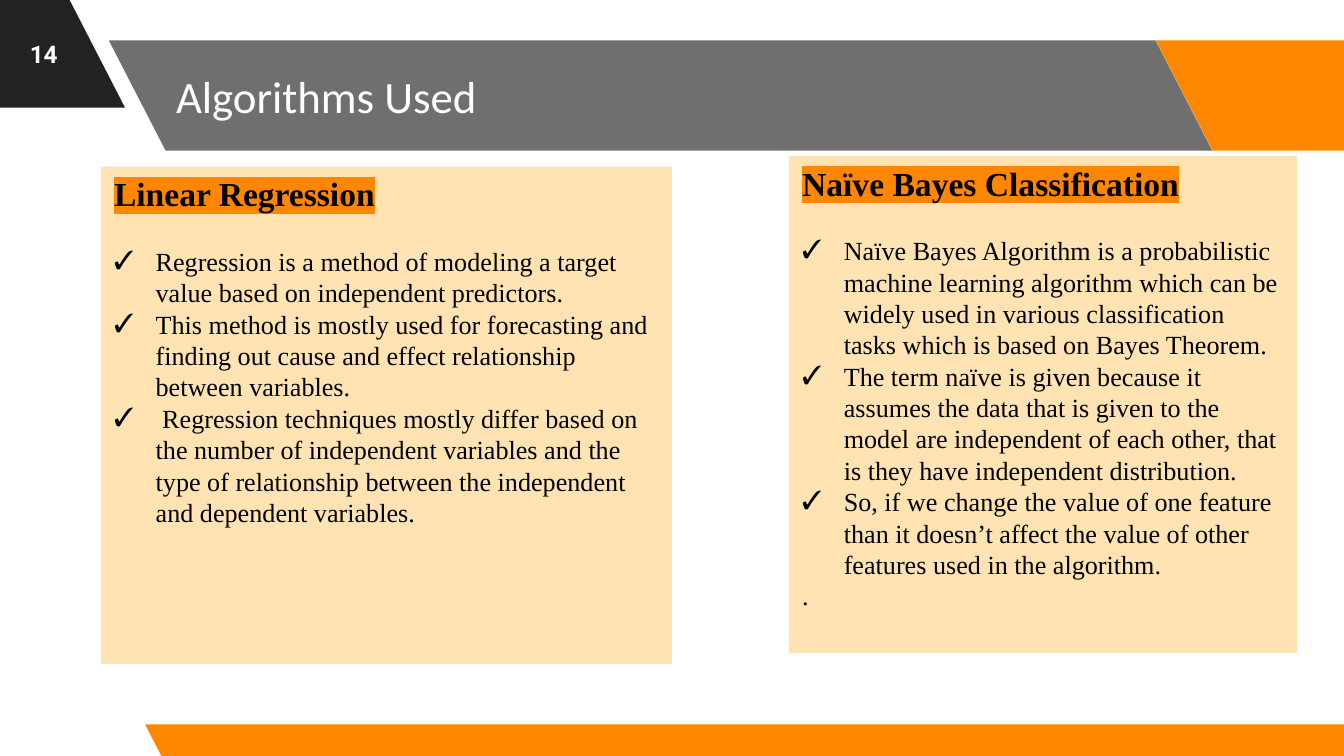
from dataclasses import dataclass

from lxml import etree
from pptx import Presentation
from pptx.dml.color import RGBColor
from pptx.enum.shapes import MSO_SHAPE
from pptx.enum.text import MSO_ANCHOR, PP_ALIGN
from pptx.oxml.ns import qn
from pptx.util import Inches, Pt

PARALLELOGRAM = MSO_SHAPE.PARALLELOGRAM
RECTANGLE = MSO_SHAPE.RECTANGLE
TOP, MIDDLE = MSO_ANCHOR.TOP, MSO_ANCHOR.MIDDLE
LEFT, CENTER = PP_ALIGN.LEFT, PP_ALIGN.CENTER
TITLE_ONLY = 5


@dataclass(frozen=True)
class Theme:
    """Colours, fonts and type sizes of the slide."""

    dark: str = "222222"
    orange: str = "FF8700"
    cream: str = "FFE3B3"
    white: str = "FFFFFF"
    black: str = "000000"
    title_font: str = "Calibri"
    number_font: str = "Roboto"
    body_font: str = "Times New Roman"
    title_size: int = 24
    heading_size: int = 18
    body_size: int = 14
    number_size: int = 13


THEME = Theme()

BANDS = [
    ((-0.99, -0.02, 1.92, 0.82), THEME.dark, 100),
    ((0.81, 0.3, 8.21, 0.82), THEME.dark, 65),
    ((8.6, 0.3, 1.92, 0.82), THEME.orange, 100),
    ((1.08, 5.39, 9.15, 0.25), THEME.orange, 100),
]

LINEAR_REGRESSION = [
    "Regression is a method of modeling a target value based on independent predictors.",
    "This method is mostly used for forecasting and finding out cause and effect "
    "relationship between variables.",
    " Regression techniques mostly differ based on the number of independent variables "
    "and the type of relationship between the independent and dependent variables.",
]

NAIVE_BAYES = [
    "Naïve Bayes Algorithm is a probabilistic machine learning algorithm which can be "
    "widely used in various classification tasks which is based on Bayes Theorem.",
    "The term naïve is given because it assumes the data that is given to the model are "
    "independent of each other, that is they have independent distribution.",
    "So, if we change the value of one feature than it doesn’t affect the value of other "
    "features used in the algorithm.",
]


def add_color(parent, tag, color):
    """Append an element holding one RGB colour and return it."""
    holder = etree.SubElement(parent, qn(tag))
    etree.SubElement(holder, qn("a:srgbClr"), val=color)
    return holder


def add_filled_shape(page, kind, place, color):
    """Add a borderless, shadowless shape with a solid fill."""
    shape = page.shapes.add_shape(kind, *map(Inches, place))
    shape.shadow.inherit = False
    shape.fill.solid()
    shape.fill.fore_color.rgb = RGBColor.from_string(color)
    shape.line.fill.background()
    return shape


def add_band(page, place, color, opacity):
    """Add a slanted band that leans to the left."""
    band = add_filled_shape(page, PARALLELOGRAM, place, color)
    band.adjustments[0] = 0.515
    band.element.spPr.find(qn("a:xfrm")).set("flipH", "1")
    if opacity < 100:
        rgb = band.element.spPr.find(f"{qn('a:solidFill')}/{qn('a:srgbClr')}")
        etree.SubElement(rgb, qn("a:alpha"), val=str(opacity * 1000))


def format_para(para, font, size, color, bold=False, align=LEFT):
    """Format the single run of a paragraph and return it."""
    para.alignment = align
    span = para.runs[0]
    span.font.name = font
    span.font.size = Pt(size)
    span.font.bold = bold
    span.font.color.rgb = RGBColor.from_string(color)
    return span


def highlight(span, color):
    """Put a marker colour behind a run."""
    properties = span.font._element
    marker = add_color(properties, "a:highlight", color)
    properties.find(qn("a:solidFill")).addnext(marker)


def add_check_bullet(para):
    """Give a paragraph a hanging check mark."""
    properties = para._p.get_or_add_pPr()
    properties.set("marL", str(Inches(0.31)))
    properties.set("indent", str(-Inches(0.31)))
    add_color(properties, "a:buClr", THEME.black)
    etree.SubElement(properties, qn("a:buFont"), typeface=THEME.body_font)
    etree.SubElement(properties, qn("a:buChar"), char="✓")


def set_frame(frame, anchor, margin):
    """Set wrapping, anchor and equal margins of a text frame."""
    frame.word_wrap = True
    frame.vertical_anchor = anchor
    frame.margin_left = frame.margin_right = Inches(0.1)
    frame.margin_top = frame.margin_bottom = Inches(margin)


def add_panel(page, place, heading, points, ending=""):
    """Add a cream panel with a marked heading and checked points."""
    panel = add_filled_shape(page, RECTANGLE, place, THEME.cream)
    frame = panel.text_frame
    set_frame(frame, TOP, 0.05)
    frame.text = heading
    span = format_para(frame.paragraphs[0], THEME.body_font, THEME.heading_size,
                       THEME.black, bold=True)
    highlight(span, THEME.orange)
    for index, point in enumerate(points):
        para = frame.add_paragraph()
        para.text = point
        format_para(para, THEME.body_font, THEME.body_size, THEME.black)
        if index == 0:
            para.space_before = Pt(17)
        add_check_bullet(para)
    if ending:
        para = frame.add_paragraph()
        para.text = ending
        format_para(para, THEME.body_font, THEME.body_size, THEME.black)


def place_title(page, text):
    """Fill the title placeholder and bring it in front of the bands."""
    title = page.shapes.title
    title.left, title.top, title.width, title.height = map(Inches, (1.21, 0.3, 7.35, 0.82))
    set_frame(title.text_frame, MIDDLE, 0.1)
    title.text_frame.text = text
    format_para(title.text_frame.paragraphs[0], THEME.title_font, THEME.title_size, THEME.white)
    title.element.getparent().append(title.element)


def add_page_number(page, number):
    """Add the page number in the dark corner."""
    box = page.shapes.add_textbox(*map(Inches, (0, 0, 0.65, 0.8)))
    set_frame(box.text_frame, MIDDLE, 0.1)
    box.text_frame.text = number
    format_para(box.text_frame.paragraphs[0], THEME.number_font, THEME.number_size,
                THEME.white, bold=True, align=CENTER)


def main():
    """Build the slide and save the deck."""
    deck = Presentation()
    deck.slide_width, deck.slide_height = Inches(10), Inches(10 * 9 / 16)
    page = deck.slides.add_slide(deck.slide_layouts[TITLE_ONLY])
    for place, color, opacity in BANDS:
        add_band(page, place, color, opacity)
    place_title(page, "Algorithms Used")
    add_page_number(page, "14")
    add_panel(page, (0.75, 1.24, 4.25, 3.7), "Linear Regression", LINEAR_REGRESSION)
    add_panel(page, (5.87, 1.16, 3.78, 3.7), "Naïve Bayes Classification", NAIVE_BAYES, ".")
    deck.save("out.pptx")


if __name__ == "__main__":
    main()
